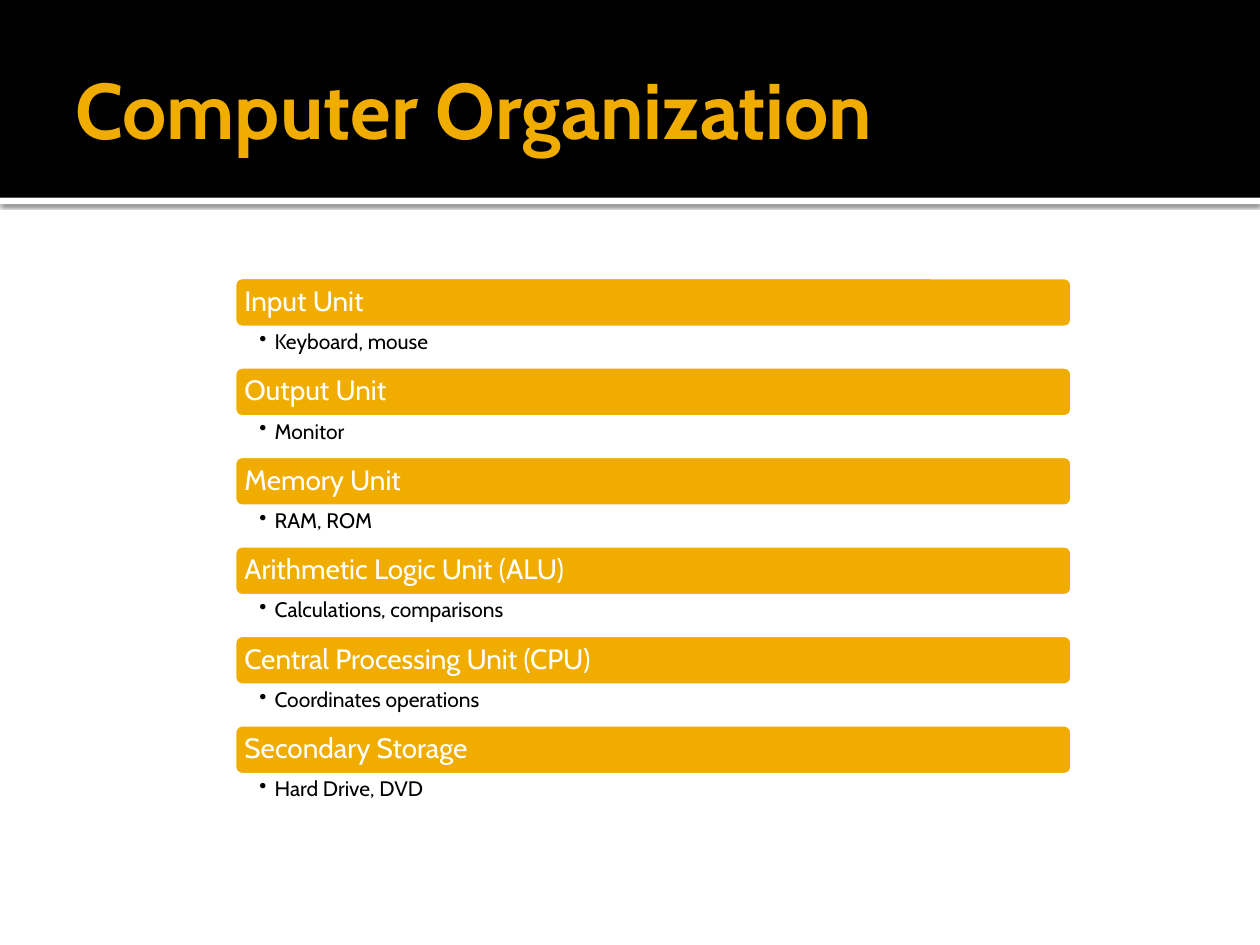
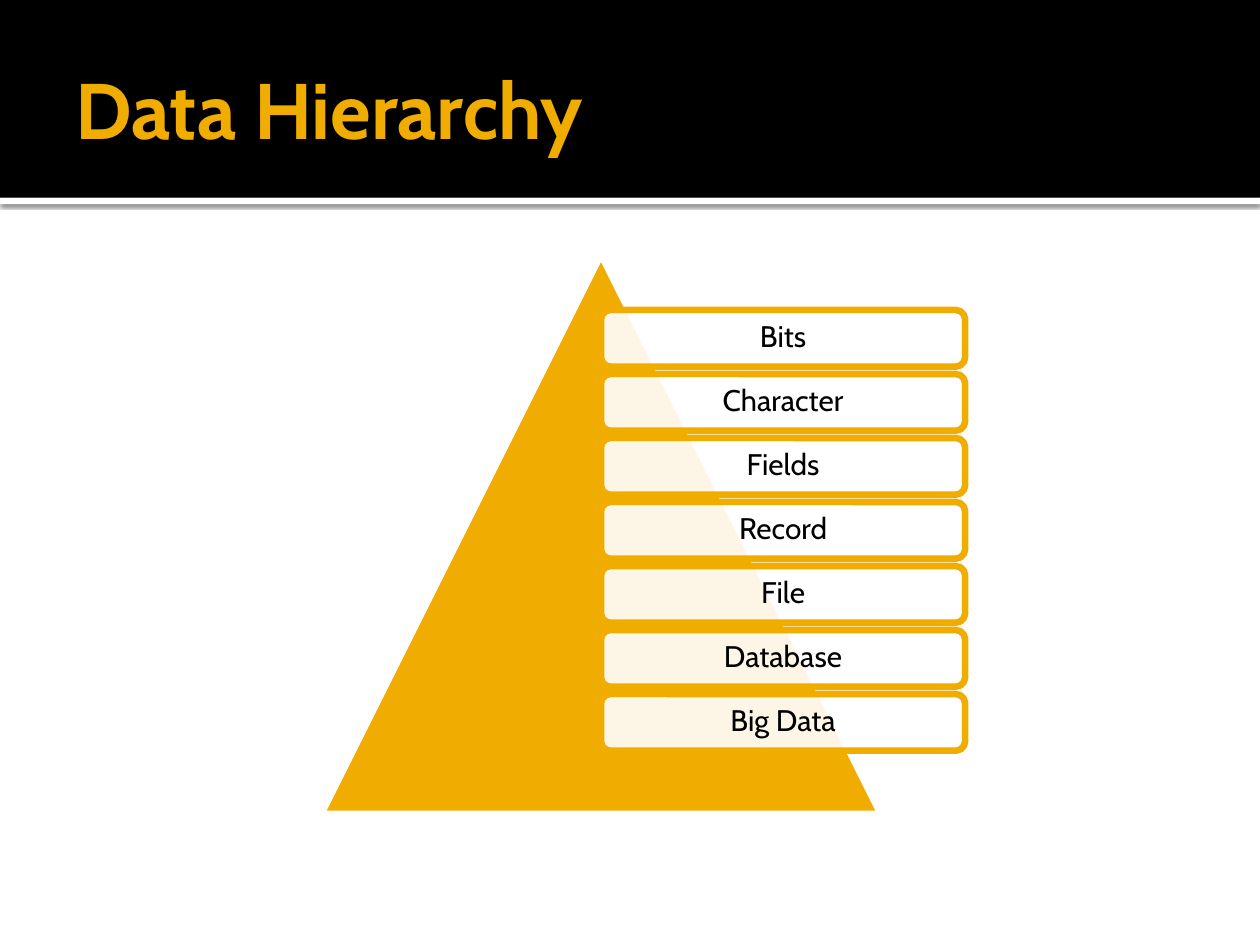
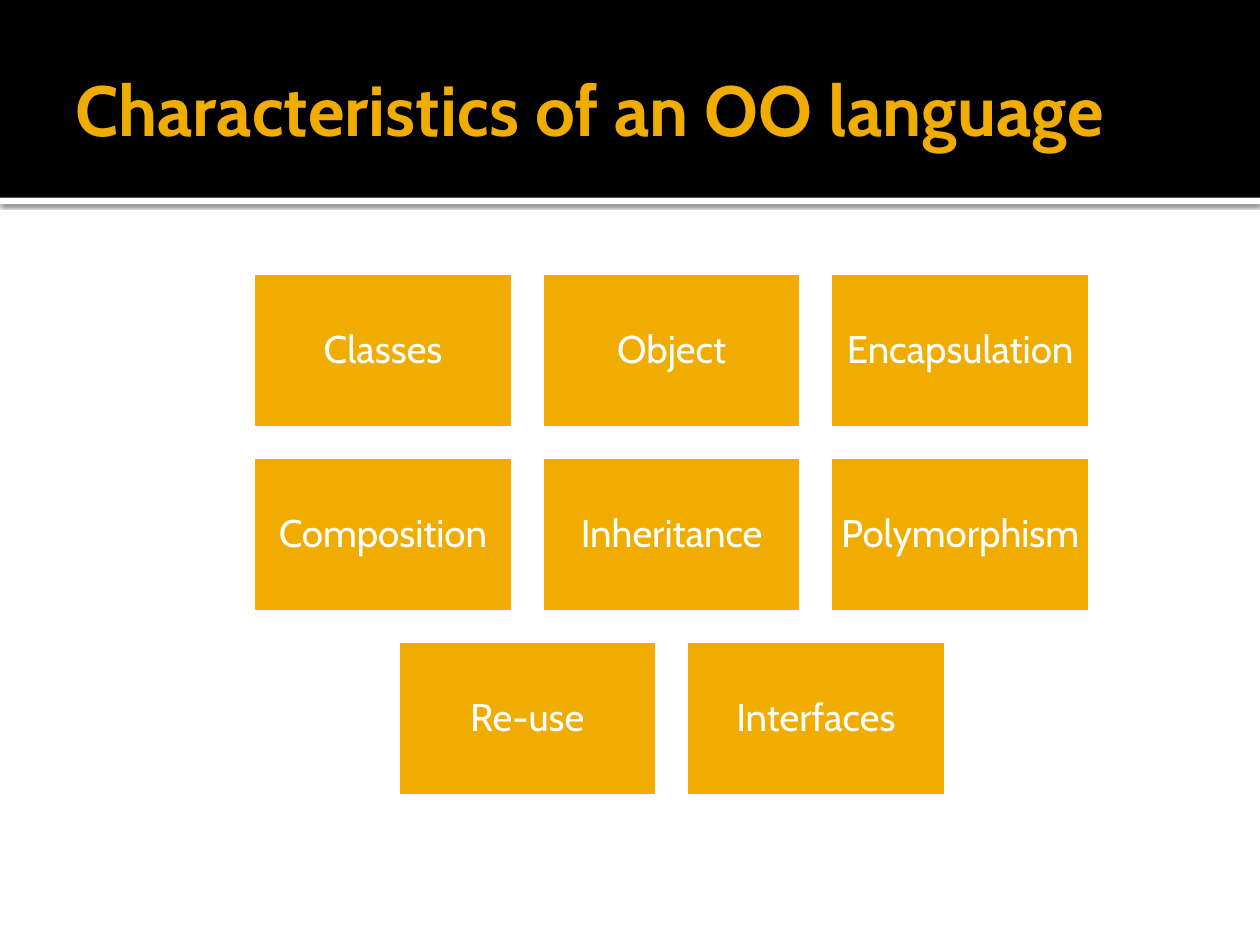
"""Build three slides on computing basics: units, data levels, OO traits."""
from lxml import etree
from pptx import Presentation, util as u
from pptx.dml.color import RGBColor
from pptx.enum import shapes, text
from pptx.oxml.ns import qn

# The slide is a grid of 100 columns by 75 rows of square cells.
COLS, ROWS = 100, 75
CELL = u.Inches(0.1)
GOLD, WHITE, BLACK = "F0AD00", "FFFFFF", "000000"
FONT = "Cabin"
EDGE = 3.78
KIND = shapes.MSO_SHAPE
LEFT, MID = text.PP_ALIGN.LEFT, text.PP_ALIGN.CENTER

UNITS = [
    ("Input Unit", "Keyboard, mouse"),
    ("Output Unit", "Monitor"),
    ("Memory Unit", "RAM, ROM"),
    ("Arithmetic Logic Unit (ALU)", "Calculations, comparisons"),
    ("Central Processing Unit (CPU)", "Coordinates operations"),
    ("Secondary Storage", "Hard Drive, DVD"),
]
LEVELS = ["Bits", "Character", "Fields", "Record", "File", "Database",
          "Big Data"]
TRAITS = [
    ["Classes", "Object", "Encapsulation"],
    ["Composition", "Inheritance", "Polymorphism"],
    ["Re-use", "Interfaces"],
]


def paint(item, color):
    """Give a fill or a font a solid colour from a hex string."""
    if hasattr(item, "solid"):
        item.solid()
        item.fore_color.rgb = RGBColor.from_string(color)
    else:
        item.color.rgb = RGBColor.from_string(color)


def cells(*spans):
    """Turn grid cells into slide lengths."""
    return [round(span * CELL) for span in spans]


def child(node, tag, **attrs):
    """Add an XML child with the given attributes."""
    kid = etree.SubElement(node, qn(tag))
    for name, value in attrs.items():
        kid.set(name, str(value))
    return kid


def shape(slide, kind, at, fill, line=None):
    """Draw a flat preset shape, with an edge if a line colour is given."""
    item = slide.shapes.add_shape(kind, *cells(*at))
    item.shadow.inherit = False
    paint(item.fill, fill)
    if line:
        paint(item.line.fill, line)
        item.line.width = u.Pt(EDGE)
    else:
        item.line.fill.background()
    return item


def write(item, words, size, color, pads, align=LEFT, bold=False,
          anchor=text.MSO_ANCHOR.MIDDLE, gap=0.9):
    """Write one run into a shape; pads are left, top, right, bottom."""
    frame = item.text_frame
    frame.word_wrap = True
    frame.vertical_anchor = anchor
    (frame.margin_left, frame.margin_top,
     frame.margin_right, frame.margin_bottom) = cells(*pads)
    para = frame.paragraphs[0]
    para.alignment = align
    para.line_spacing = gap
    run = para.add_run()
    run.text = words
    run.font.name, run.font.size, run.font.bold = FONT, u.Pt(size), bold
    paint(run.font, color)
    return para


def bullet(para, hang):
    """Give a paragraph a round bullet with a hanging indent."""
    props = para._p.get_or_add_pPr()
    step = cells(hang)[0]
    props.set("marL", str(step))
    props.set("indent", str(-step))
    child(props, "a:buChar", char="•")


def shade(item):
    """Cast a soft shadow straight down from a shape."""
    glow = item._element.spPr.find(qn("a:effectLst"))
    drop = child(glow, "a:outerShdw", blurRad=u.Pt(2.5), dist=u.Pt(0.8),
                 dir=90 * 60000, algn="tl", rotWithShape=0)
    child(child(drop, "a:srgbClr", val=BLACK), "a:alpha", val=60000)


def fade(item, share):
    """Set the opacity of a solid fill, in percent."""
    tone = item._element.spPr.find(qn("a:solidFill"))[0]
    child(tone, "a:alpha", val=share * 1000)


def start(deck, title, size=45):
    """Add a slide with the black band, its shaded rim and a title."""
    slide = deck.slides.add_slide(deck.slide_layouts[6])
    band = 15.7
    shade(shape(slide, KIND.RECTANGLE, (0, band, COLS, 0.5), WHITE))
    shape(slide, KIND.RECTANGLE, (0, 0, COLS, band), BLACK)
    head = slide.shapes.add_textbox(*cells(5, 1.7, 90, 13.7))
    write(head, title, size, GOLD, (1, 0.5, 0.5, 0.5), bold=True, gap=1)
    return slide


def units(slide):
    """Stack gold bars, each with a bulleted example below it."""
    left, top, width, bar, note = 18.5, 21.9, 66.7, 4.2, 2.9
    for row, (name, sample) in enumerate(UNITS):
        y = top + row * (bar + note)
        item = shape(slide, KIND.ROUNDED_RECTANGLE, (left, y, width, bar),
                     GOLD, WHITE)
        write(item, name, 16, WHITE, [0.7] * 4)
        item = slide.shapes.add_textbox(*cells(left, y + bar, width, note))
        para = write(item, sample, 12, BLACK, (2.1, 0.2, 1.2, 0.2),
                     anchor=text.MSO_ANCHOR.TOP)
        bullet(para, 1.2)


def levels(slide):
    """Lay a column of labels over the right half of a pyramid."""
    left, top, side = 25.5, 20.2, 44.4
    shape(slide, KIND.ISOSCELES_TRIANGLE, (left, top, side, side),
          GOLD, WHITE)
    for row, name in enumerate(LEVELS):
        at = (left + side / 2, 24.6 + row * 5.08, 28.9, 4.5)
        item = shape(slide, KIND.ROUNDED_RECTANGLE, at, WHITE, GOLD)
        fade(item, 90)
        write(item, name, 17, BLACK, [0.7] * 4, MID)


def traits(slide):
    """Set tiles in rows, each row centred on the same axis."""
    axis, top, wide, high, gap = 53.3, 21.6, 20.8, 12.5, 2.1
    for row, names in enumerate(TRAITS):
        left = axis - (len(names) * (wide + gap) - gap) / 2
        for col, name in enumerate(names):
            at = (left + col * (wide + gap), top + row * (high + gap),
                  wide, high)
            item = shape(slide, KIND.RECTANGLE, at, GOLD, WHITE)
            write(item, name, 22, WHITE, [0.9] * 4, MID)


def main():
    """Build and save the deck."""
    deck = Presentation()
    deck.slide_width, deck.slide_height = cells(COLS, ROWS)
    units(start(deck, "Computer Organization"))
    levels(start(deck, "Data Hierarchy"))
    traits(start(deck, "Characteristics of an OO language", 40.5))
    deck.save("out.pptx")


main()
